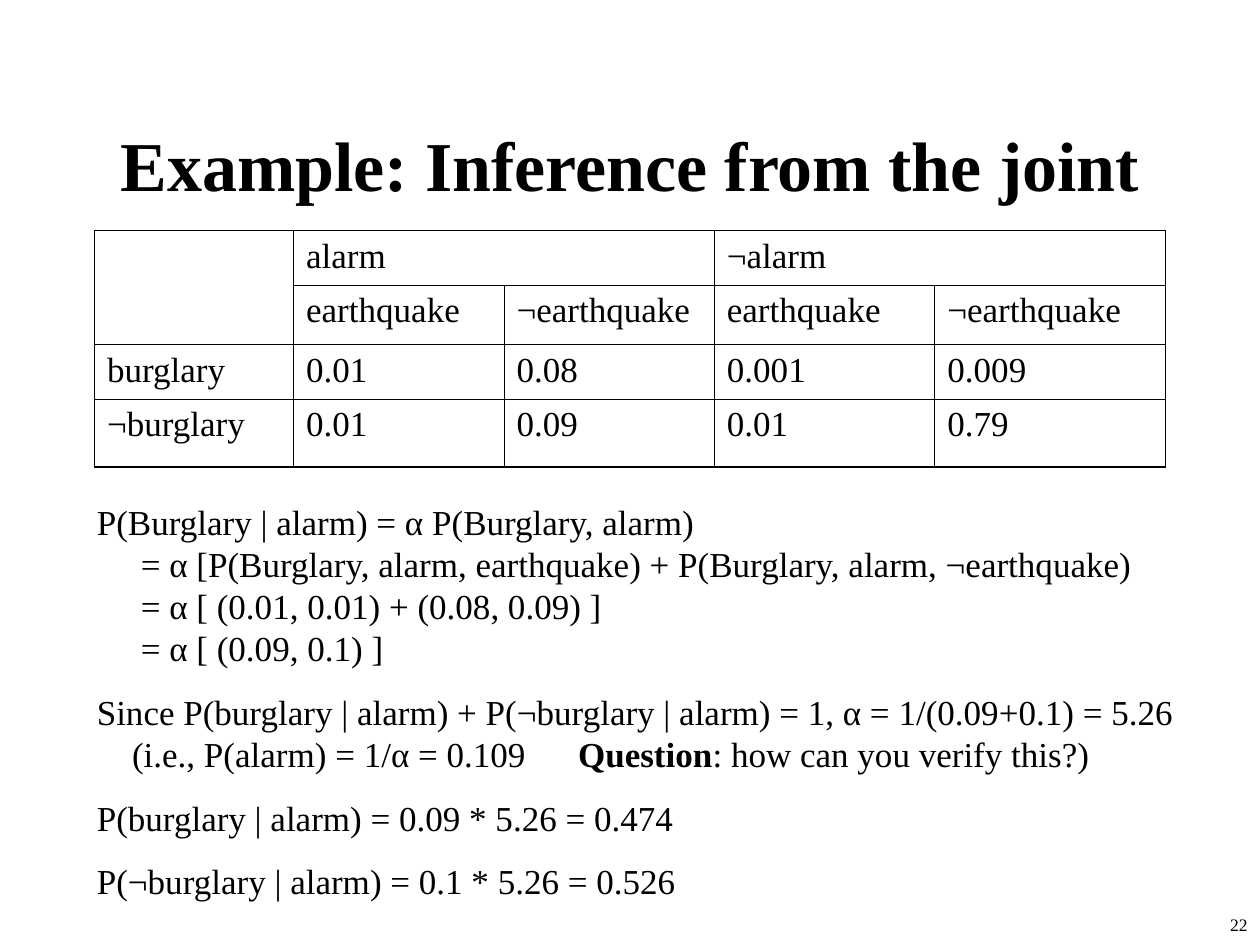
from lxml import etree
from pptx import Presentation
from pptx.dml.color import RGBColor
from pptx.enum import text
from pptx.oxml import ns
from pptx.util import Inches, Pt

BLACK = RGBColor(0, 0, 0)
THIN, THICK = 0.45, 1.08


class Page:
    def __init__(self, deck):
        self.slide = deck.slides.add_slide(deck.slide_layouts[6])
        self.font = "Times New Roman"

    def add_run(self, para, words, size, bold=False):
        run = para.add_run()
        run.text = words
        font = run.font
        font.name, font.size, font.bold = self.font, Pt(size), bold
        font.color.rgb = BLACK

    def add_box(self, x, y, w, h):
        shape = self.slide.shapes.add_textbox(
            Inches(x), Inches(y), Inches(w), Inches(h))
        shape.text_frame.word_wrap = True
        return shape.text_frame

    def add_label(self, words, box, size, align, bold=False):
        frame = self.add_box(*box)
        frame.vertical_anchor = text.MSO_ANCHOR.MIDDLE
        para = frame.paragraphs[0]
        para.alignment = align
        self.add_run(para, words, size, bold)

    def add_body(self, paras, box, size, gap):
        """Each paragraph is (tab stops, lines); a line is a list of runs."""
        frame = self.add_box(*box)
        frame.auto_size = text.MSO_AUTO_SIZE.SHAPE_TO_FIT_TEXT
        for i, (stops, lines) in enumerate(paras):
            para = frame.add_paragraph() if i else frame.paragraphs[0]
            if i:
                para.space_before = Pt(gap)
            self.set_tabs(para, stops)
            for j, line in enumerate(lines):
                if j:
                    para.add_line_break()
                for words, bold in line:
                    self.add_run(para, words, size, bold)

    def set_tabs(self, para, stops):
        if stops:
            props = para._p.get_or_add_pPr()
            tabs = etree.SubElement(props, ns.qn("a:tabLst"))
            for stop in stops:
                etree.SubElement(tabs, ns.qn("a:tab"),
                                 pos=str(Inches(stop)), algn="l")

    def add_grid(self, rows, spans, x, y, widths, heights, size):
        table = self.slide.shapes.add_table(
            len(rows), len(widths), Inches(x), Inches(y),
            Inches(sum(widths)), Inches(sum(heights))).table
        table.first_row = table.horz_banding = False
        for col, width in zip(table.columns, widths):
            col.width = Inches(width)
        for row, height in zip(table.rows, heights):
            row.height = Inches(height)
        for start, end in spans:
            table.cell(*start).merge(table.cell(*end))
        for r, row in enumerate(rows):
            for c, words in enumerate(row):
                cell = table.cell(r, c)
                cell.fill.background()
                if cell.is_spanned:
                    continue
                if words:
                    self.add_run(cell.text_frame.paragraphs[0], words, size)
                right = c + (cell.span_width if cell.is_merge_origin else 1)
                base = r + (cell.span_height if cell.is_merge_origin else 1)
                outer = (c == 0, right == len(widths), r == 0, base == len(rows))
                self.set_edges(cell, outer)

    def set_edges(self, cell, outer):
        props = cell._tc.get_or_add_tcPr()
        for i, (side, edge) in enumerate(zip("LRTB", outer)):
            line = etree.Element(ns.qn(f"a:ln{side}"),
                                 w=str(Pt(THICK if edge else THIN)))
            fill = etree.SubElement(line, ns.qn("a:solidFill"))
            etree.SubElement(fill, ns.qn("a:srgbClr"), val=str(BLACK))
            props.insert(i, line)


def main():
    deck = Presentation()
    deck.slide_width, deck.slide_height = Inches(10), Inches(7.5)
    page = Page(deck)

    # Page number and title
    page.add_label("22", (7.92, 7.17, 2.08, 0.33), 10, text.PP_ALIGN.RIGHT)
    page.add_label("Example: Inference from the joint",
                   (0.75, 0.67, 8.5, 1.25), 40, text.PP_ALIGN.CENTER, True)

    # Joint distribution
    rows = [
        ["", "alarm", "", "¬alarm", ""],
        [""] + ["earthquake", "¬earthquake"] * 2,
        ["burglary", "0.01", "0.08", "0.001", "0.009"],
        ["¬burglary", "0.01", "0.09", "0.01", "0.79"],
    ]
    spans = [((0, 0), (1, 0)), ((0, 1), (0, 2)), ((0, 3), (0, 4))]
    page.add_grid(rows, spans, 0.75, 1.83, [1.58, 1.67, 1.67, 1.75, 1.83],
                  [0.43, 0.47, 0.43, 0.54], 20)

    # Derivation
    paras = [
        ([0.35], [
            [("P(Burglary | alarm) = α P(Burglary, alarm)", False)],
            [("\t= α [P(Burglary, alarm, earthquake) + "
              "P(Burglary, alarm, ¬earthquake)", False)],
            [("\t= α [ (0.01, 0.01) + (0.08, 0.09) ]", False)],
            [("\t= α [ (0.09, 0.1) ]", False)],
        ]),
        ([0.28, 3.82], [
            [("Since P(burglary | alarm) + P(¬burglary | alarm) = 1, "
              "α = 1/(0.09+0.1) = 5.26", False)],
            [("\t(i.e., P(alarm) = 1/α = 0.109\t", False), ("Question", True),
             (": how can you verify this?)", False)],
        ]),
        ([], [[("P(burglary | alarm) = 0.09 * 5.26 = 0.474", False)]]),
        ([], [[("P(¬burglary | alarm) = 0.1 * 5.26 = 0.526", False)]]),
    ]
    page.add_body(paras, (0.67, 3.92, 8.83, 3.29), 20, 12.5)

    deck.save("out.pptx")


if __name__ == "__main__":
    main()
